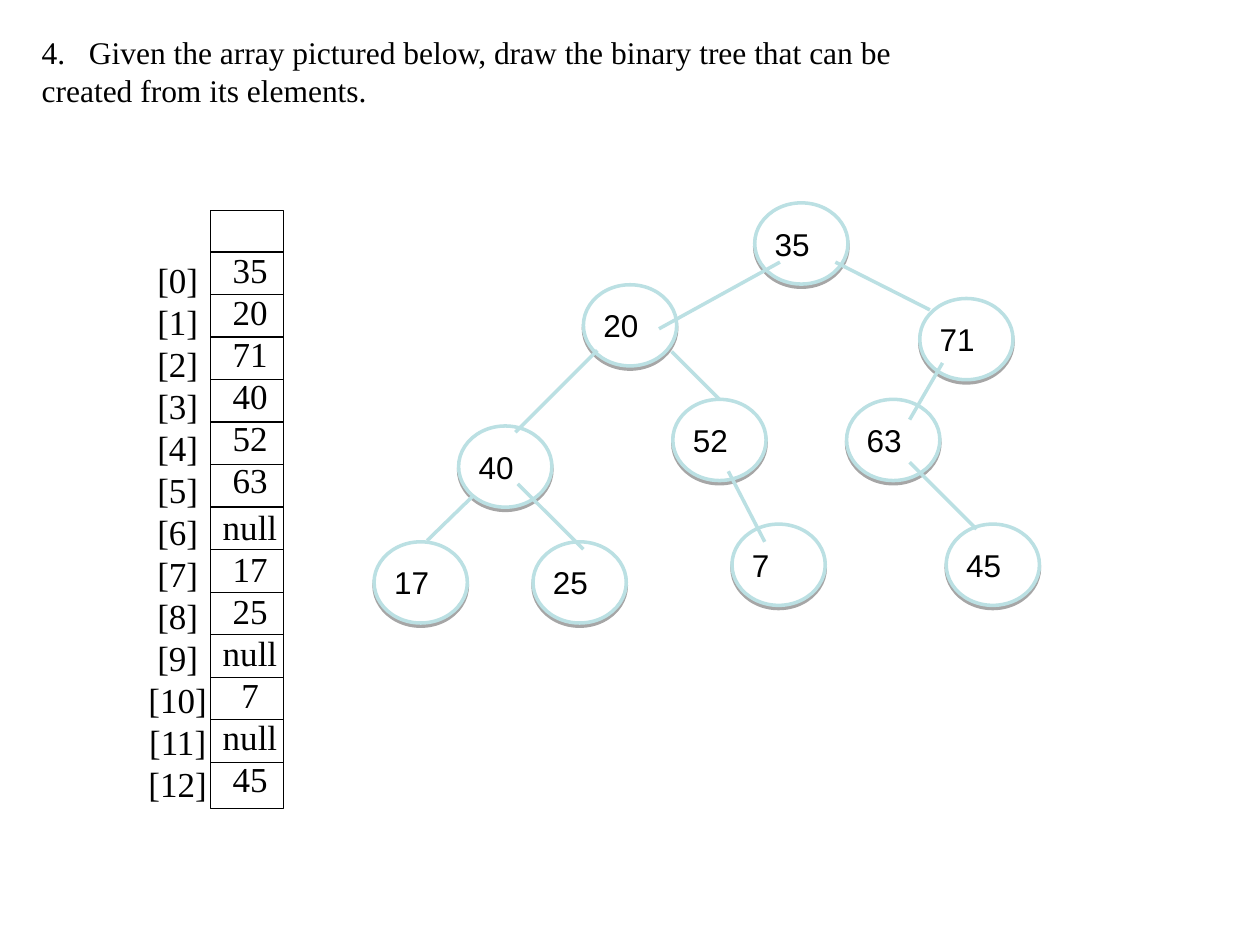
"""Build a slide that turns an array into a binary tree."""
from dataclasses import dataclass
from typing import Any

from lxml import etree
from pptx import Presentation
from pptx.dml.color import RGBColor
from pptx.enum import shapes, text
from pptx.oxml import ns
from pptx.util import Pt

BLACK = RGBColor(0, 0, 0)
WHITE = RGBColor(255, 255, 255)
AQUA = RGBColor(0xBB, 0xE0, 0xE3)

QUESTION = ["Given the array pictured below, draw the binary tree that can be",
            "created from its elements."]
VALUES = ["35", "20", "71", "40", "52", "63", "null", "17", "25", "null", "7", "null", "45"]
NODES = {
    "35": (431.3, 115.9), "25": (304.6, 309.6), "45": (540.7, 299.5),
    "7": (418.3, 299.5), "17": (213.8, 309.6), "63": (483.8, 228.2),
    "71": (525.6, 170.6), "52": (384.5, 228.2), "40": (262.1, 243.4),
    "20": (333.4, 162.7),
}
EDGES = [
    (376.6, 187.9, 445.7, 149.8), (531.4, 177.1, 477.4, 149.8),
    (411.1, 228.2, 383.8, 200.9), (294.5, 247, 341.3, 200.2),
    (519.8, 239.8, 538.6, 207.4), (244.1, 308.9, 270, 283.7),
    (333.4, 313.9, 295.9, 276.5), (437, 309.6, 416.2, 269.3),
    (558, 302.4, 519.8, 264.2),
]
ARRAY_LEFT, ARRAY_TOP, ARRAY_W, ARRAY_H = 120.2, 120.2, 41.8, 342
FIRST_RULE, ROW_H = 144, 24.3


def add_xml(parent, tag, **attrs):
    return etree.SubElement(parent, ns.qn(tag), attrs)


@dataclass
class Board:
    s: Any
    serif: str = "Times New Roman"
    sans: str = "Arial"
    inset: float = 3.6

    def frame(self, tf, wrap, anchor):
        tf.auto_size = text.MSO_AUTO_SIZE.NONE
        tf.word_wrap = wrap
        tf.vertical_anchor = anchor
        tf.margin_left = tf.margin_right = tf.margin_top = tf.margin_bottom = Pt(self.inset)

    def set_lines(self, tf, lines, name, size, align):
        tf.text = "\n".join(lines)
        for p in tf.paragraphs:
            p.alignment = align
            p.font.name, p.font.size = name, Pt(size)
            p.font.color.rgb = BLACK

    def title(self, lines, number, x, y, w, h):
        sp = self.s.shapes.title
        sp.left, sp.top, sp.width, sp.height = Pt(x), Pt(y), Pt(w), Pt(h)
        tf = sp.text_frame
        self.frame(tf, False, text.MSO_ANCHOR.TOP)
        self.set_lines(tf, lines, self.serif, 18, text.PP_ALIGN.LEFT)
        for p in tf.paragraphs:
            pPr = p._p.get_or_add_pPr()
            pPr.set("marL", str(Pt(27)))
            pPr.set("indent", str(-Pt(27)))
        pPr = tf.paragraphs[0]._p.get_or_add_pPr()
        bullet = etree.Element(ns.qn("a:buAutoNum"), type="arabicPeriod", startAt=str(number))
        pPr.insert(0, bullet)

    def column(self, lines, x, y, w, h):
        tf = self.s.shapes.add_textbox(Pt(x), Pt(y), Pt(w), Pt(h)).text_frame
        self.frame(tf, False, text.MSO_ANCHOR.TOP)
        self.set_lines(tf, lines, self.serif, 20, text.PP_ALIGN.CENTER)
        for p in tf.paragraphs:
            p.line_spacing = Pt(24)
        return tf

    def box(self, x, y, w, h):
        sp = self.s.shapes.add_shape(shapes.MSO_SHAPE.RECTANGLE, Pt(x), Pt(y), Pt(w), Pt(h))
        sp.shadow.inherit = False
        sp.fill.background()
        sp.line.color.rgb, sp.line.width = BLACK, Pt(0.75)

    def node(self, label, x, y):
        sp = self.s.shapes.add_shape(shapes.MSO_SHAPE.OVAL, Pt(x), Pt(y), Pt(53.3), Pt(46.4))
        sp.fill.solid()
        sp.fill.fore_color.rgb = WHITE
        sp.line.color.rgb, sp.line.width = AQUA, Pt(2)
        effects = add_xml(sp._element.spPr, "a:effectLst")
        shadow = add_xml(effects, "a:outerShdw", blurRad="0", dist=str(Pt(1.8)),
                         dir="5400000", rotWithShape="0")
        add_xml(add_xml(shadow, "a:srgbClr", val=str(BLACK)), "a:alpha", val="35000")
        self.frame(sp.text_frame, True, text.MSO_ANCHOR.MIDDLE)
        self.set_lines(sp.text_frame, [label], self.sans, 18, text.PP_ALIGN.LEFT)

    def line(self, x1, y1, x2, y2, color, width):
        c = self.s.shapes.add_connector(shapes.MSO_CONNECTOR.STRAIGHT,
                                        Pt(x1), Pt(y1), Pt(x2), Pt(y2))
        c.line.color.rgb, c.line.width = color, Pt(width)
        add_xml(c._element.spPr, "a:effectLst")


def main():
    prs = Presentation()
    prs.slide_width, prs.slide_height = Pt(720), Pt(540)
    board = Board(prs.slides.add_slide(prs.slide_layouts[5]))

    board.title(QUESTION, 4, 20.2, 15.1, 493.9, 50.4)
    board.box(ARRAY_LEFT, ARRAY_TOP, ARRAY_W, ARRAY_H)
    board.column([f"[{i}]" for i in range(len(VALUES))], 81.4, 144, 40.3, 319.7)
    for i in range(len(VALUES)):
        y = FIRST_RULE + i * ROW_H
        board.line(ARRAY_LEFT, y, ARRAY_LEFT + ARRAY_W, y, BLACK, 0.75)
    values = board.column(VALUES, 123.8, 138.2, 38.2, 322)
    values.paragraphs[VALUES.index("null")].space_before = Pt(3)

    for label, (x, y) in NODES.items():
        board.node(label, x, y)
    for edge in EDGES:
        board.line(*edge, AQUA, 2)

    prs.save("out.pptx")


if __name__ == "__main__":
    main()
